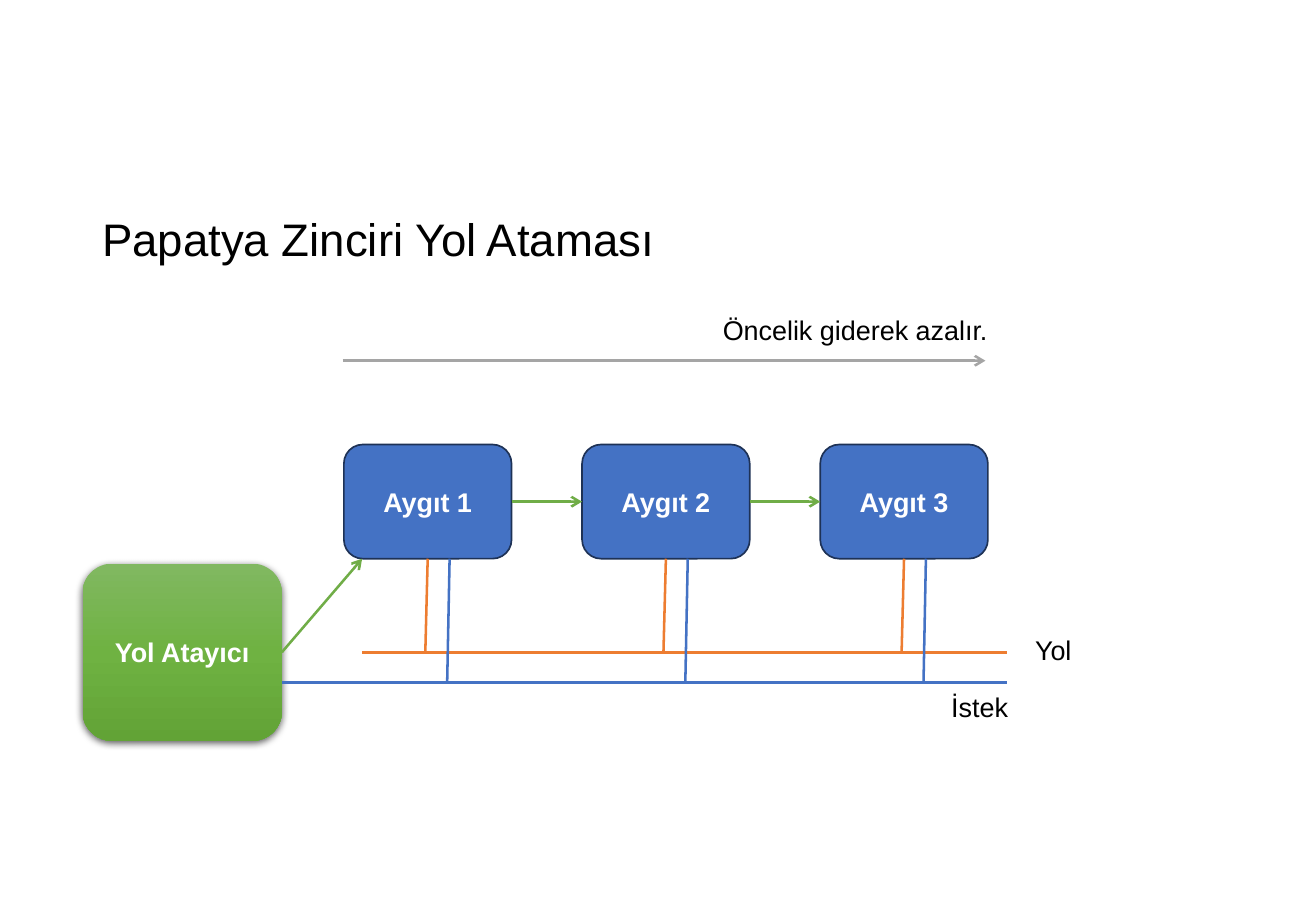
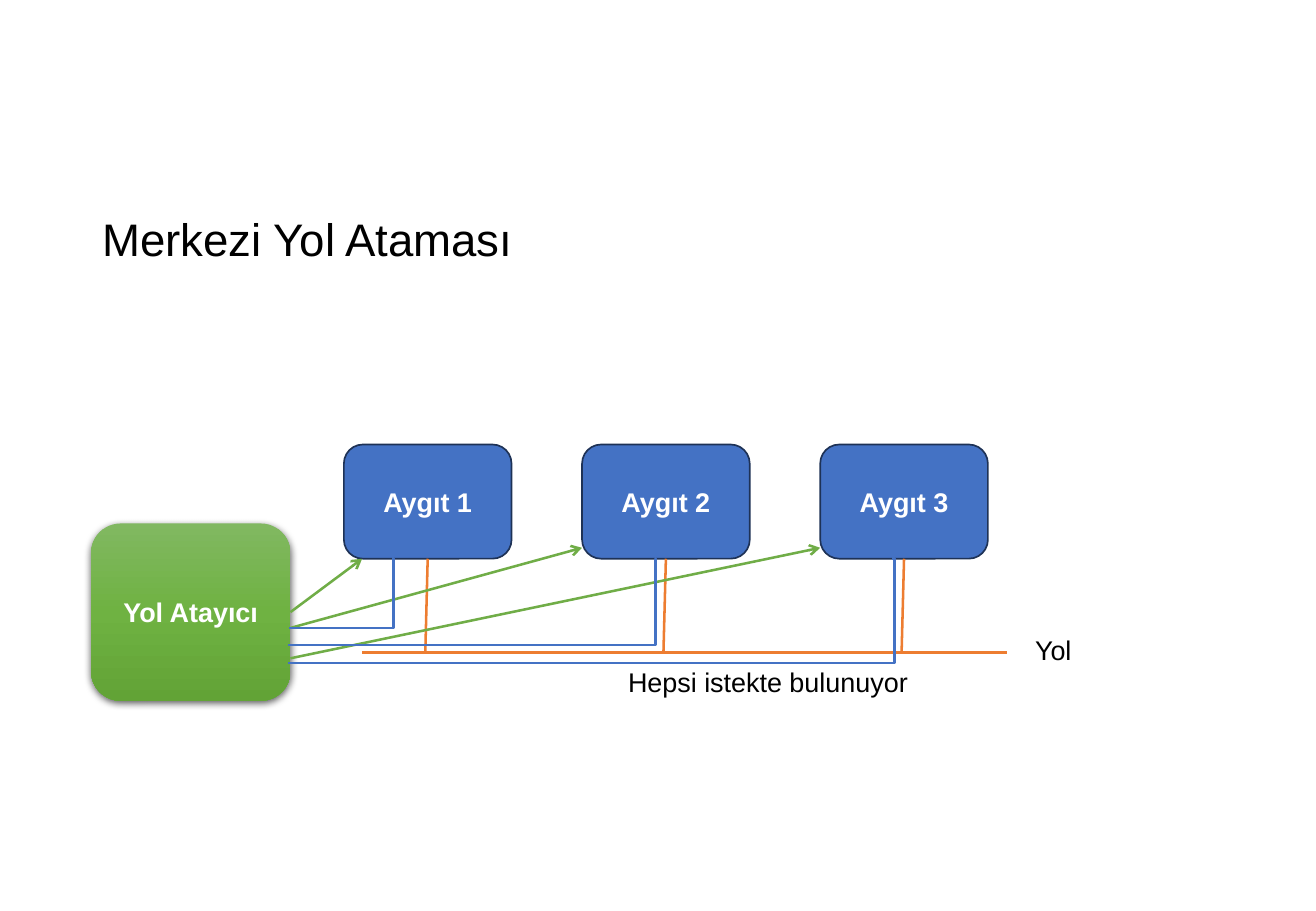
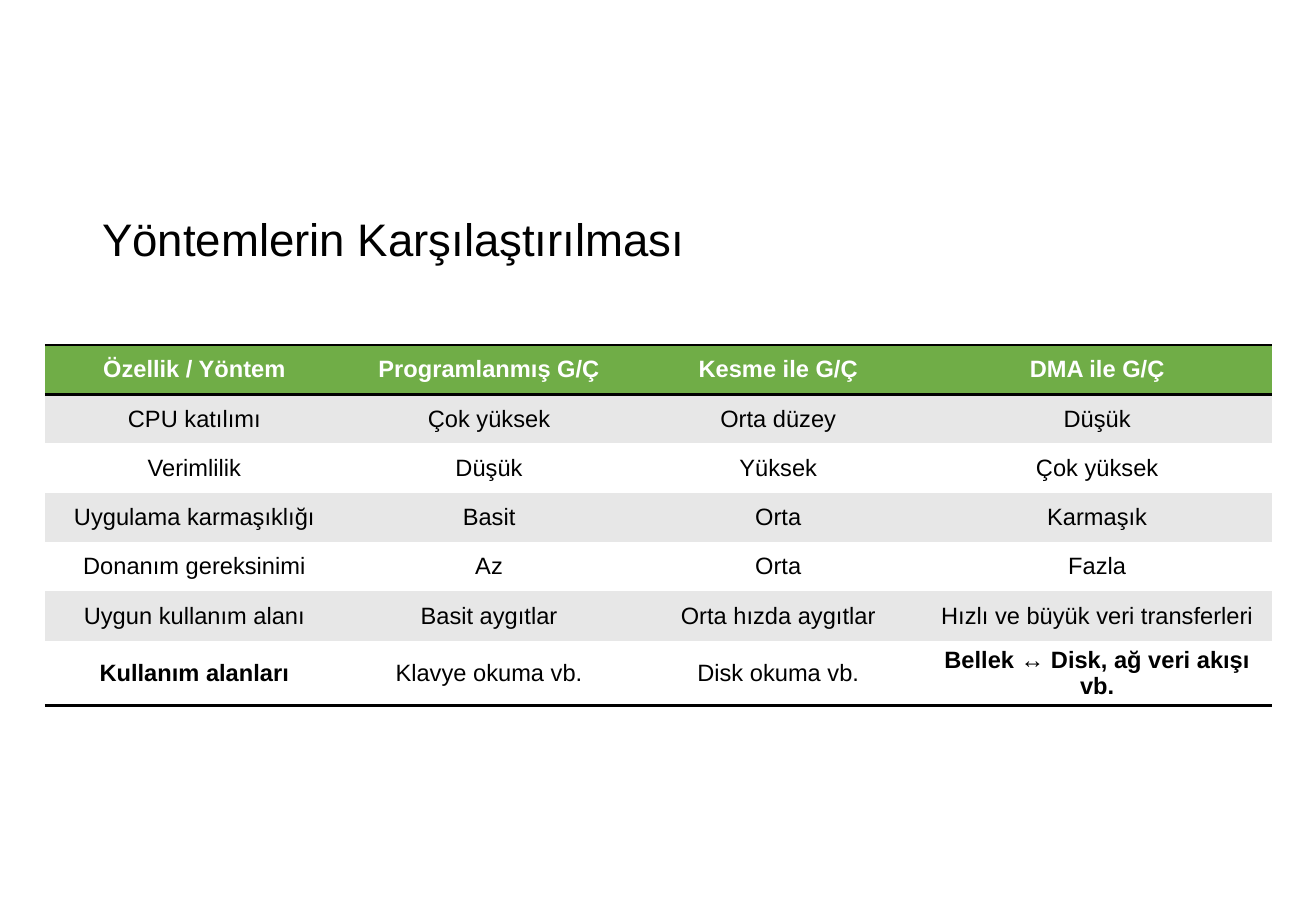
"""Build three slides on bus arbitration and I/O methods."""
from copy import deepcopy

from lxml import etree
from pptx import Presentation
from pptx.dml.color import RGBColor
from pptx.enum.shapes import MSO_CONNECTOR, MSO_SHAPE
from pptx.enum.text import MSO_ANCHOR, MSO_AUTO_SIZE, PP_ALIGN
from pptx.oxml.ns import qn
from pptx.util import Inches, Pt

STRAIGHT, ELBOW = MSO_CONNECTOR.STRAIGHT, MSO_CONNECTOR.ELBOW
ROUNDED = MSO_SHAPE.ROUNDED_RECTANGLE
LEFT, CENTER = PP_ALIGN.LEFT, PP_ALIGN.CENTER
MIDDLE = MSO_ANCHOR.MIDDLE
FIT_SHAPE = MSO_AUTO_SIZE.SHAPE_TO_FIT_TEXT
TOP_SIDE, LEFT_SIDE, BOTTOM_SIDE, RIGHT_SIDE = range(4)

FONT = "Arial"
BLACK, WHITE, GREY, BAND = "000000", "FFFFFF", "A5A5A5", "E7E7E7"
BLUE, NAVY, ORANGE, GREEN = "4472C4", "1E3256", "ED7D31", "70AD47"
ARBITER_STOPS = [(0, "81B861"), (0.5, "6FB242"), (1, "62A336")]
NO_STYLE = "{2D5ABB26-0587-4C30-8999-92F81FD0307C}"
rgb = RGBColor.from_string


def set_text(tf, text, size=16, color=BLACK, bold=False, align=LEFT):
    tf.text = text
    tf.word_wrap = True
    p = tf.paragraphs[0]
    p.alignment = align
    font = p.runs[0].font
    font.name, font.size, font.bold = FONT, Pt(size), bold
    font.color.rgb = rgb(color)
    return p


def add_line(s, x1, y1, x2, y2, color, arrow=False, kind=STRAIGHT):
    line = s.shapes.add_connector(kind, Inches(x1), Inches(y1), Inches(x2), Inches(y2))
    line.line.color.rgb = rgb(color)
    line.line.width = Pt(1.5)
    spPr = line._element.spPr
    if arrow:
        etree.SubElement(spPr.find(qn("a:ln")), qn("a:tailEnd"), type="arrow")
    etree.SubElement(spPr, qn("a:effectLst"))
    return line


prs = Presentation()
prs.slide_width, prs.slide_height = Inches(10.83), Inches(7.5)
layout = prs.slide_layouts[5]
title = layout.placeholders[0]
title.left, title.top, title.width, title.height = map(Inches, (0.74, 1.66, 9.34, 0.66))
title.text_frame.vertical_anchor = MIDDLE

slides = []
for heading in ("Papatya Zinciri Yol Ataması", "Merkezi Yol Ataması", "Yöntemlerin Karşılaştırılması"):
    s = prs.slides.add_slide(layout)
    set_text(s.shapes.title.text_frame, heading, 27).line_spacing = 0.9
    slides.append(s)
chain, central, comparison = slides

DEV_W, DEV_H, DEV_TOP = 1.38, 0.94, 3.66
DEV_LEFTS = [2.83 + 1.96 * i for i in range(3)]
DEV_BOTTOM = DEV_TOP + DEV_H
BUS_Y, BUS_RIGHT, REQUEST_Y = 5.37, 8.29, 5.62
ARB_W, ARB_H = 1.64, 1.46

diagrams = [
    (chain, 0.68, 4.64, [("Öncelik giderek azalır.", 5.85, 2.53, 2.57), ("İstek", 7.73, 5.64, 1.13)]),
    (central, 0.75, 4.31, [("Hepsi istekte bulunuyor", 5.07, 5.43, 2.64)]),
]
chain_devices = []
for s, arb_left, arb_top, labels in diagrams:
    add_line(s, 2.98, BUS_Y, BUS_RIGHT, BUS_Y, ORANGE)
    for i, left in enumerate(DEV_LEFTS):
        device = s.shapes.add_shape(ROUNDED, Inches(left), Inches(DEV_TOP), Inches(DEV_W), Inches(DEV_H))
        device.shadow.inherit = False
        device.fill.solid()
        device.fill.fore_color.rgb = rgb(BLUE)
        device.line.color.rgb = rgb(NAVY)
        device.line.width = Pt(1)
        set_text(device.text_frame, f"Aygıt {i + 1}", color=WHITE, bold=True, align=CENTER)
        mid = left + DEV_W / 2
        stem = add_line(s, mid, DEV_BOTTOM, mid - 0.02, BUS_Y, ORANGE)
        stem.begin_connect(device, BOTTOM_SIDE)
        if s is chain:
            chain_devices.append(device)

    arbiter = s.shapes.add_shape(ROUNDED, Inches(arb_left), Inches(arb_top), Inches(ARB_W), Inches(ARB_H))
    arbiter.line.fill.background()
    arbiter.fill.gradient()
    arbiter.fill.gradient_angle = 270
    spPr = arbiter._element.spPr
    gs_list = spPr.find(".//" + qn("a:gsLst"))
    gs_list.append(deepcopy(gs_list[0]))
    for stop, (position, color) in zip(arbiter.fill.gradient_stops, ARBITER_STOPS):
        stop.position = position
        stop.color.rgb = rgb(color)
    arbiter.shadow.inherit = False
    shadow = etree.SubElement(spPr.find(qn("a:effectLst")), qn("a:outerShdw"), blurRad=str(Pt(4.5)),
                              dist=str(Pt(1.5)), dir="5400000", algn="ctr", rotWithShape="0")
    shade = etree.SubElement(shadow, qn("a:srgbClr"), val=BLACK)
    etree.SubElement(shade, qn("a:alpha"), val="63000")
    set_text(arbiter.text_frame, "Yol Atayıcı", color=WHITE, bold=True, align=CENTER)

    grant = add_line(s, arb_left + ARB_W, arb_top + ARB_H / 2, 2.98, DEV_BOTTOM, GREEN, arrow=True)
    grant.begin_connect(arbiter, RIGHT_SIDE)
    for text, left, top, width in labels + [("Yol", 8.42, 5.17, 1.13)]:
        label = s.shapes.add_textbox(Inches(left), Inches(top), Inches(width), Inches(0.37))
        set_text(label.text_frame, text)
        label.text_frame.auto_size = FIT_SHAPE

for i in range(2):
    right = DEV_LEFTS[i] + DEV_W
    y = DEV_TOP + DEV_H / 2
    link = add_line(chain, right, y, DEV_LEFTS[i + 1], y, GREEN, arrow=True)
    link.begin_connect(chain_devices[i], RIGHT_SIDE)
    link.end_connect(chain_devices[i + 1], LEFT_SIDE)
add_line(chain, 2.82, 2.97, 8.11, 2.97, GREY, arrow=True)
add_line(chain, 2.32, REQUEST_Y, BUS_RIGHT, REQUEST_Y, BLUE)
for left in DEV_LEFTS:
    x = left + DEV_W / 2 + 0.18
    add_line(chain, x, DEV_BOTTOM, x - 0.02, REQUEST_Y, BLUE)

for y, left in ((5.17, DEV_LEFTS[1]), (5.42, DEV_LEFTS[2])):
    add_line(central, 2.39, y, left, 4.51, GREEN, arrow=True)
for x, x_end, y_end, bend in ((3.23, 2.38, 5.17, -1200), (5.39, 2.37, 5.31, -200), (7.34, 2.37, 5.46, -400)):
    request = add_line(central, x, DEV_BOTTOM, x_end, y_end, BLUE, kind=ELBOW)
    guides = request._element.spPr.find(".//" + qn("a:avLst"))
    etree.SubElement(guides, qn("a:gd"), name="adj1", fmla=f"val {bend}")

rows = [
    ("Özellik / Yöntem", "Programlanmış G/Ç", "Kesme ile G/Ç", "DMA ile G/Ç"),
    ("CPU katılımı", "Çok yüksek", "Orta düzey", "Düşük"),
    ("Verimlilik", "Düşük", "Yüksek", "Çok yüksek"),
    ("Uygulama karmaşıklığı", "Basit", "Orta", "Karmaşık"),
    ("Donanım gereksinimi", "Az", "Orta", "Fazla"),
    ("Uygun kullanım alanı", "Basit aygıtlar", "Orta hızda aygıtlar", "Hızlı ve büyük veri transferleri"),
    ("Kullanım alanları", "Klavye okuma vb.", "Disk okuma vb.", "Bellek ↔ Disk, ağ veri akışı vb."),
]
last = len(rows) - 1
table = comparison.shapes.add_table(len(rows), 4, Inches(0.37), Inches(2.84), Inches(10.1), Inches(2.84)).table
table._tbl.tblPr.find(qn("a:tableStyleId")).text = NO_STYLE
table.horz_banding = False
for col, width in zip(table.columns, (2.46, 2.39, 2.37, 2.88)):
    col.width = Inches(width)
for i, row in enumerate(rows):
    header = i == 0
    borders = ("a:lnT", "a:lnB") if header else ("a:lnB",) if i == last else ()
    for j, text in enumerate(row):
        cell = table.cell(i, j)
        bold = header or (i == last and j in (0, 3))
        set_text(cell.text_frame, text, 14, WHITE if header else BLACK, bold, CENTER)
        cell.vertical_anchor = MIDDLE
        for tag in borders:
            ln = etree.SubElement(cell._tc.get_or_add_tcPr(), qn(tag), w=str(Pt(2)))
            etree.SubElement(etree.SubElement(ln, qn("a:solidFill")), qn("a:srgbClr"), val=BLACK)
        cell.fill.solid()
        cell.fill.fore_color.rgb = rgb(GREEN if header else BAND if i % 2 else WHITE)

prs.save("out.pptx")
